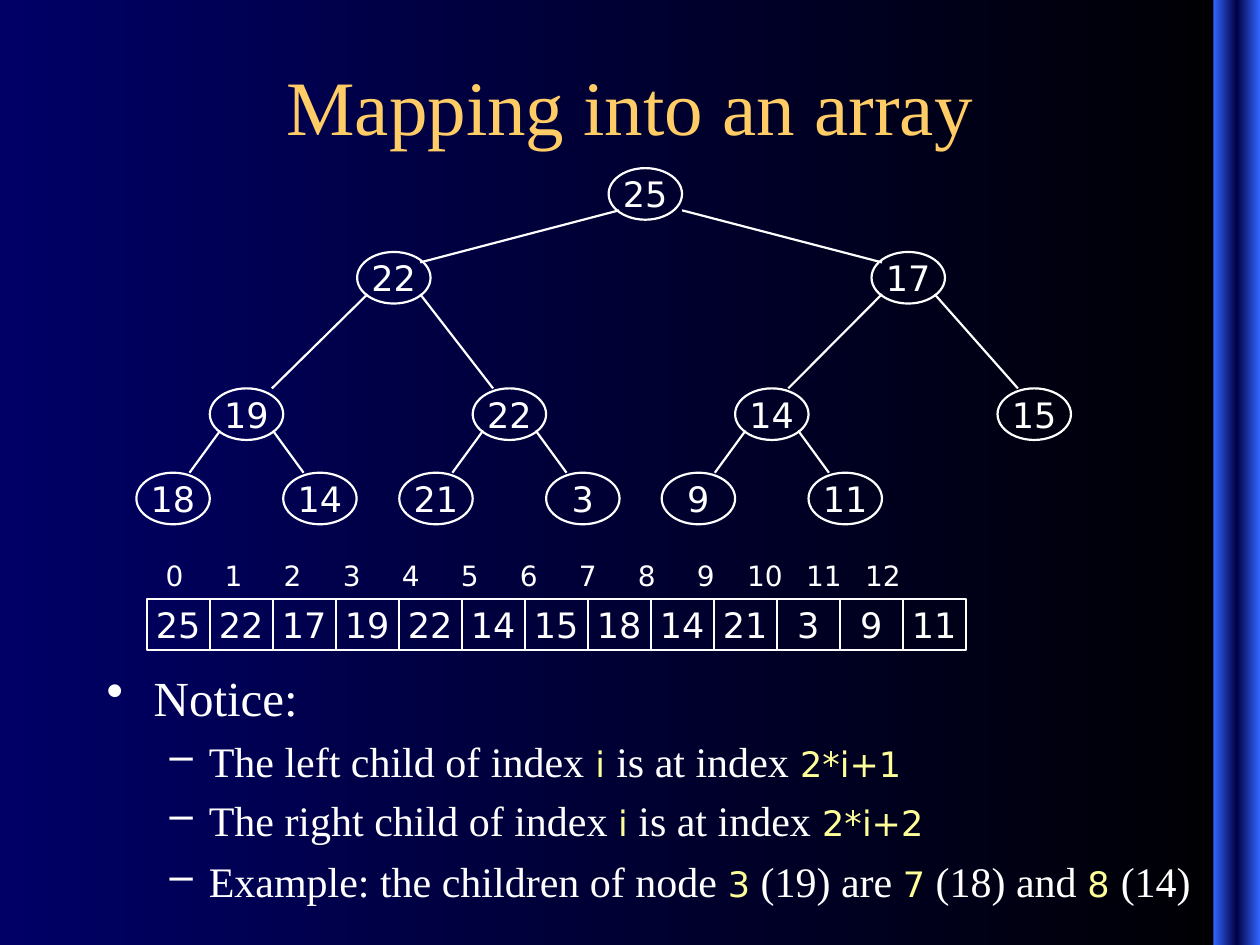
from copy import deepcopy

from lxml.etree import SubElement
from pptx import Presentation
from pptx.dml.color import RGBColor
from pptx.enum.shapes import MSO_CONNECTOR, MSO_SHAPE
from pptx.enum.text import MSO_ANCHOR, PP_ALIGN
from pptx.oxml.ns import qn
from pptx.util import Cm, Pt

RECT, OVAL = MSO_SHAPE.RECTANGLE, MSO_SHAPE.OVAL
STRAIGHT = MSO_CONNECTOR.STRAIGHT
MIDDLE = MSO_ANCHOR.MIDDLE
CENTER = PP_ALIGN.CENTER

COLORS = {
    "black": "000000",
    "navy": "000066",
    "bar_edge": "3366FF",
    "bar_core": "000044",
    "title": "FFCC66",
    "text": "FFFFFF",
    "code": "FFFF99",
}
SERIF, SANS = "Times New Roman", "DejaVu Sans"

VALUES = [25, 22, 17, 19, 22, 14, 15, 18, 14, 21, 3, 9, 11]
NODE_W, NODE_H = 1.48, 1.04
LEVEL_TOPS = [3.39, 5.08, 7.83, 9.53]
UPPER_LEFTS = [12.27, 7.2, 17.57, 4.23, 9.53, 14.82, 20.11]
LEFT_EDGE, RIGHT_EDGE = (0.21, 1.07, 0), (1.27, 0.41, 0)
SPECIAL_EDGES = {1: (0.21, 1.27, 0.21), 2: (1.48, 0.21, 0.21), 3: (0.21, 1.25, 0)}
EDGE_START_Y = 0.85

CELL_LEFT, CELL_TOP, CELL_W = 2.96, 12.07, 1.27
INDEX_START, INDEX_STEP = 0.52, 1.19

BULLETS = [
    ("•", 0.95, 0.95, 7, 28, [("Notice:", False)]),
    ("–", 2.06, 0.79, 5, 24, [("The left child of index", False), (" i ", True),
                              ("is at index", False), (" 2*i+1", True)]),
    ("–", 2.06, 0.79, 5, 24, [("The right child of index ", False), ("i", True),
                              (" is at index", False), (" 2*i+2", True)]),
    ("–", 2.06, 0.79, 6, 24, [("Example: the children of node ", False), ("3", True),
                              (" (19) are ", False), ("7", True), (" (18) and ", False),
                              ("8 ", True), ("(14)", False)]),
]


def rgb(name):
    return RGBColor.from_string(COLORS[name])


def format_run(r, font, size, color):
    r.font.name = font
    r.font.size = Pt(size)
    r.font.color.rgb = rgb(color)


def set_gradient(fill, stops):
    fill.gradient_angle = 180
    for stop, (position, color) in zip(fill.gradient_stops, stops):
        stop.position = position
        stop.color.rgb = rgb(color)


def add_side_bar(s):
    sp = s.shapes.add_shape(RECT, Cm(24.46), 0, Cm(0.94), Cm(19.05))
    sp.shadow.inherit = False
    sp.line.fill.background()
    sp.fill.gradient()
    stop_list = sp.element.spPr.find(".//" + qn("a:gsLst"))
    stop_list.append(deepcopy(stop_list[-1]))
    set_gradient(sp.fill, [(0, "bar_edge"), (0.5, "bar_core"), (1, "bar_edge")])


def add_text(shapes, left, top, width, height, text, font, size, color):
    tf = shapes.add_textbox(Cm(left), Cm(top), Cm(width), Cm(height)).text_frame
    tf.word_wrap = True
    tf.text = text
    for r in tf.paragraphs[0].runs:
        format_run(r, font, size, color)
    return tf


def add_title(s):
    tf = add_text(s.shapes, 0.85, 1.05, 23.7, 2.13, "Mapping into an array", SERIF, 44, "title")
    tf.vertical_anchor = MIDDLE
    tf.paragraphs[0].alignment = CENTER


def add_bullets(s):
    tf = add_text(s.shapes, 1.9, 13.34, 22.86, 5.28, "", SERIF, 28, "text")
    for i, (mark, margin, hang, before, size, parts) in enumerate(BULLETS):
        p = tf.add_paragraph() if i else tf.paragraphs[0]
        p.space_before = Pt(before)
        pPr = p._p.get_or_add_pPr()
        pPr.set("marL", str(Cm(margin)))
        pPr.set("indent", str(-Cm(hang)))
        SubElement(SubElement(pPr, qn("a:buClr")), qn("a:srgbClr"), val=COLORS["text"])
        SubElement(pPr, qn("a:buChar"), char=mark)
        for text, is_code in parts:
            r = p.add_run()
            r.text = text
            if is_code:
                format_run(r, SANS, 20, "code")
            else:
                format_run(r, SERIF, size, "text")


def add_value(shapes, kind, left, top, width, value):
    sp = shapes.add_shape(kind, Cm(left), Cm(top), Cm(width), Cm(NODE_H))
    sp.shadow.inherit = False
    sp.fill.background()
    sp.line.color.rgb = rgb("text")
    sp.line.width = Pt(1.25)
    tf = sp.text_frame
    tf.word_wrap = False
    tf.vertical_anchor = MIDDLE
    tf.text = str(value)
    p = tf.paragraphs[0]
    p.alignment = CENTER
    format_run(p.runs[0], SANS, 20, "text")


def add_edge(shapes, x1, y1, x2, y2):
    line = shapes.add_connector(STRAIGHT, Cm(x1), Cm(y1), Cm(x2), Cm(y2))
    line.line.color.rgb = rgb("text")
    line.line.width = Pt(1.25)
    SubElement(line._element.spPr, qn("a:effectLst"))


def node_position(i):
    top = LEVEL_TOPS[(i + 1).bit_length() - 1]
    if i < len(UPPER_LEFTS):
        return UPPER_LEFTS[i], top
    side = -1 if i % 2 else 1
    return UPPER_LEFTS[(i - 1) // 2] + side * NODE_W, top


def add_tree(s):
    shapes = s.shapes.add_group_shape().shapes
    for i, value in enumerate(VALUES):
        left, top = node_position(i)
        add_value(shapes, OVAL, left, top, NODE_W, value)
        if i:
            parent_left, parent_top = node_position((i - 1) // 2)
            default = LEFT_EDGE if i % 2 else RIGHT_EDGE
            start_x, end_x, end_y = SPECIAL_EDGES.get(i, default)
            add_edge(shapes, parent_left + start_x, parent_top + EDGE_START_Y,
                     left + end_x, top + end_y)


def add_array(s):
    shapes = s.shapes.add_group_shape().shapes
    for i, value in enumerate(VALUES):
        add_value(shapes, RECT, CELL_LEFT + i * CELL_W, CELL_TOP, CELL_W, value)
    labels = "".join(f"\t{i}" for i in range(len(VALUES)))
    tf = add_text(shapes, 2.75, 11.13, 17.55, 0.94, labels, SANS, 16, "text")
    tab_list = SubElement(tf.paragraphs[0]._p.get_or_add_pPr(), qn("a:tabLst"))
    for i in range(len(VALUES)):
        SubElement(tab_list, qn("a:tab"), pos=str(Cm(INDEX_START + i * INDEX_STEP)), algn="ctr")


def main():
    prs = Presentation()
    prs.slide_width, prs.slide_height = Cm(25.4), Cm(19.05)
    s = prs.slides.add_slide(prs.slide_layouts[6])
    s.background.fill.gradient()
    set_gradient(s.background.fill, [(0, "black"), (1, "navy")])
    add_side_bar(s)
    add_title(s)
    add_bullets(s)
    add_tree(s)
    add_array(s)
    prs.save("out.pptx")


if __name__ == "__main__":
    main()
